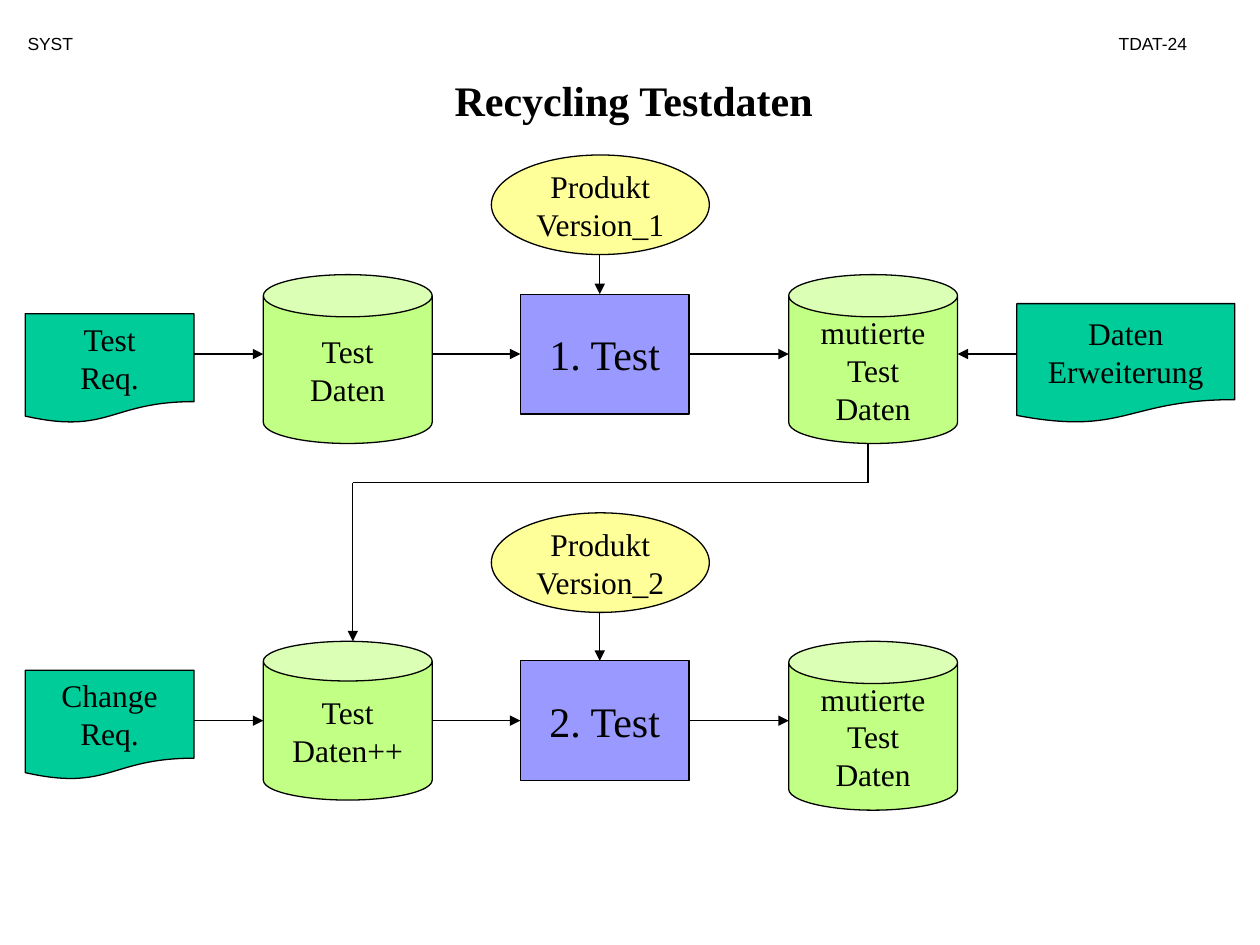
import itertools

import lxml.etree
import pptx
import pptx.dml.color
import pptx.enum.shapes
import pptx.enum.text
import pptx.oxml.ns
import pptx.util

COLORS = {
    "text": "000000",
    "line": "000000",
    "document": "00CC99",
    "store": "C2FF85",
    "test": "9999FF",
    "product": "FFFF99",
}
KINDS = pptx.enum.shapes.MSO_SHAPE
SHAPES = {
    "document": KINDS.FLOWCHART_DOCUMENT,
    "store": KINDS.CAN,
    "test": KINDS.RECTANGLE,
    "product": KINDS.OVAL,
}
ALIGN = pptx.enum.text.PP_ALIGN
BODY = {"name": "Times New Roman", "size": pptx.util.Pt(18)}
LARGE = {"name": "Times New Roman", "size": pptx.util.Pt(24)}
HEADER = {"name": "Arial", "size": pptx.util.Pt(10)}

COLUMNS = {"request": 0.2, "input": 2.09, "product": 3.9, "test": 4.13,
           "output": 6.26, "extension": 8.07}
AXES = (2.81, 5.72)
WIDTH, WIDE = 1.34, 1.73
STORE_RISE = 0.63
TEST_HEIGHT, PRODUCT_HEIGHT = 0.95, 0.79
PRODUCT_AXIS = 4.76


def inches(*lengths):
    return [pptx.util.Inches(length) for length in lengths]


def rgb(name):
    return pptx.dml.color.RGBColor.from_string(COLORS[name])


def apply_format(target, values):
    for name, value in values.items():
        setattr(target, name, value)


def write_text(frame, lines, font, align):
    for index, line in enumerate(lines):
        para = frame.add_paragraph() if index else frame.paragraphs[0]
        para.alignment = align
        span = para.add_run()
        span.text = line
        apply_format(span.font, font)
        span.font.color.rgb = rgb("text")


def add_label(page, place, text, font, align=ALIGN.LEFT):
    box = page.shapes.add_textbox(*inches(*place))
    box.text_frame.word_wrap = True
    write_text(box.text_frame, [text], font, align)


def add_node(page, kind, place, lines, font=BODY):
    node = page.shapes.add_shape(SHAPES[kind], *inches(*place))
    node.shadow.inherit = False
    node.fill.solid()
    node.fill.fore_color.rgb = rgb(kind)
    node.line.color.rgb = rgb("line")
    node.line.width = pptx.util.Pt(0.75)
    if kind == "store":
        node.adjustments[0] = 0.25
    apply_format(node.text_frame, {
        "word_wrap": False,
        "vertical_anchor": pptx.enum.text.MSO_ANCHOR.MIDDLE,
    })
    write_text(node.text_frame, lines, font, ALIGN.CENTER)
    return node


def add_line(page, start, end, arrow=True):
    line = page.shapes.add_connector(
        pptx.enum.shapes.MSO_CONNECTOR.STRAIGHT, *inches(*start, *end))
    line.line.color.rgb = rgb("line")
    line.line.width = pptx.util.Pt(0.75)
    if arrow:
        lxml.etree.SubElement(line.line._get_or_add_ln(),
                              pptx.oxml.ns.qn("a:tailEnd"), type="triangle")
    lxml.etree.SubElement(line._element.spPr, pptx.oxml.ns.qn("a:effectLst"))
    return line


def add_cycle(page, axis, number, request, request_top, stored,
              store_height, product_top):
    store_top = axis - STORE_RISE
    test_top = axis - TEST_HEIGHT / 2
    add_node(page, "document", (COLUMNS["request"], request_top, WIDTH, 0.87),
             [request, "Req."])
    add_node(page, "store", (COLUMNS["input"], store_top, WIDTH, store_height),
             ["Test", stored])
    test = add_node(page, "test",
                    (COLUMNS["test"], test_top, WIDTH, TEST_HEIGHT),
                    [f"{number}. Test"], LARGE)
    add_node(page, "product",
             (COLUMNS["product"], product_top, WIDE, PRODUCT_HEIGHT),
             ["Produkt", f"Version_{number}"])
    add_node(page, "store", (COLUMNS["output"], store_top, WIDTH, WIDTH),
             ["mutierte", "Test", "Daten"])

    flow = [COLUMNS[name] for name in ("request", "input", "test", "output")]
    arrows = [add_line(page, (left + WIDTH, axis), (right, axis))
              for left, right in itertools.pairwise(flow)]
    arrows[1].end_connect(test, 1)
    arrows[2].begin_connect(test, 3)
    add_line(page, (PRODUCT_AXIS, product_top + PRODUCT_HEIGHT),
             (PRODUCT_AXIS, test_top))


def add_return_path(page):
    points = [(6.89, AXES[0] - STORE_RISE + WIDTH), (6.89, 3.83),
              (2.8, 3.83), (2.8, AXES[1] - STORE_RISE)]
    for start, end in itertools.pairwise(points):
        add_line(page, start, end, arrow=end == points[-1])


def main():
    deck = pptx.Presentation()
    deck.slide_width, deck.slide_height = inches(10, 7.5)
    page = deck.slides.add_slide(deck.slide_layouts[6])

    add_label(page, (1.28, 0.54, 7.5, 0.5), "Recycling Testdaten",
              {**LARGE, "bold": True}, ALIGN.CENTER)
    add_label(page, (0.12, 0.21, 0.92, 0.27), "SYST", HEADER)
    add_label(page, (8.78, 0.21, 0.83, 0.27), "TDAT-24", HEADER)

    add_cycle(page, AXES[0], 1, "Test", 2.49, "Daten", 1.34, 1.23)
    add_cycle(page, AXES[1], 2, "Change", 5.32, "Daten++", 1.26, 4.07)
    add_node(page, "document", (COLUMNS["extension"], 2.41, WIDE, 0.95),
             ["Daten", "Erweiterung"])
    add_line(page, (COLUMNS["extension"], AXES[0]),
             (COLUMNS["output"] + WIDTH, AXES[0]))
    add_return_path(page)

    deck.save("out.pptx")


if __name__ == "__main__":
    main()
